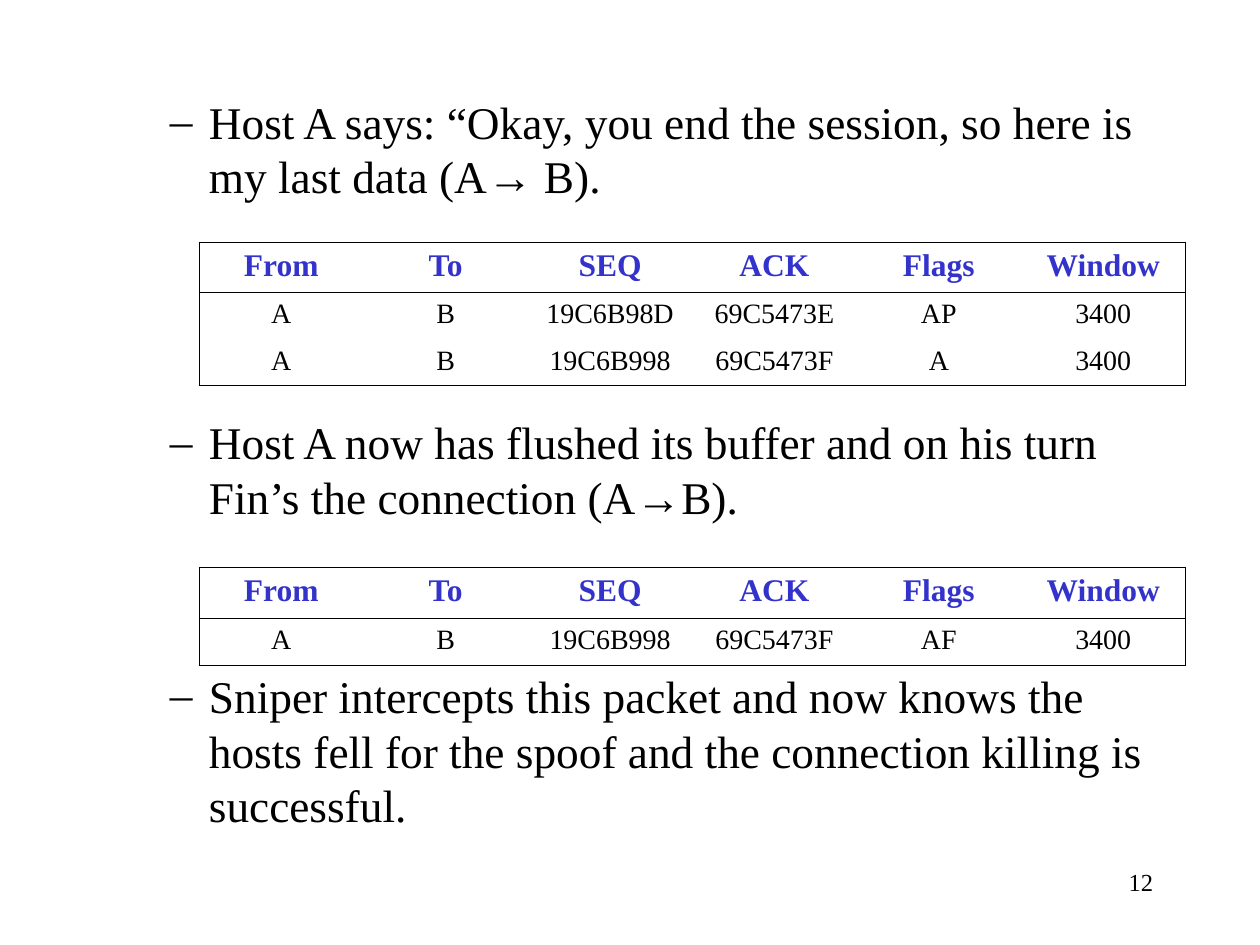
"""Build the slide on the closing packets between host A and host B."""

from dataclasses import dataclass
from typing import Any

from lxml.etree import SubElement
from pptx import Presentation
from pptx.dml.color import RGBColor
from pptx.enum.text import PP_ALIGN
from pptx.oxml.ns import qn
from pptx.util import Inches, Pt


@dataclass(frozen=True)
class Theme:
    serif: str = "Times New Roman"
    sans: str = "Arial"
    ink: str = "000000"
    heading: str = "3333CC"
    body_size: float = 25.9
    line_pitch: float = 31
    heading_size: float = 18
    cell_size: float = 16
    number_size: float = 14
    rule: float = 0.45


@dataclass(frozen=True)
class Statement:
    wording: tuple[str, ...]
    gap_before: float


@dataclass(frozen=True)
class PacketTable:
    top: float
    header_height: float
    packets: tuple[tuple[str, ...], ...]


THEME = Theme()
ARROW = "→"
HEADINGS = ("From", "To", "SEQ", "ACK", "Flags", "Window")
TABLE_LEFT, TABLE_WIDTH, PACKET_HEIGHT = 1.58, 7.83, 0.37

STATEMENTS = (
    Statement(("Host A says: “Okay, you end the session, so here is my last data (A", ARROW, " B)."), 0),
    Statement(("Host A now has flushed its buffer and on his turn Fin’s the connection (A", ARROW, "B)."), 121),
    Statement(("Sniper intercepts this packet and now knows the hosts fell for the spoof "
               "and the connection killing is successful.",), 83),
)

TABLES = (
    PacketTable(1.92, 0.4, (
        ("A", "B", "19C6B98D", "69C5473E", "AP", "3400"),
        ("A", "B", "19C6B998", "69C5473F", "A", "3400"),
    )),
    PacketTable(4.5, 0.41, (
        ("A", "B", "19C6B998", "69C5473F", "AF", "3400"),
    )),
)


def apply(target: Any, values: dict[str, Any]) -> None:
    for name, value in values.items():
        setattr(target, name, value)


def add_span(para: Any, text: str, size: float, color: str = THEME.ink,
             font: str = THEME.serif, bold: bool = False) -> None:
    span = para.add_run()
    span.text = text
    apply(span.font, {"name": font, "size": Pt(size), "bold": bold})
    span.font.color.rgb = RGBColor.from_string(color)


def add_box(page: Any, left: float, top: float, width: float, height: float,
            inset_top: float = 0.05) -> Any:
    box = page.shapes.add_textbox(Inches(left), Inches(top), Inches(width), Inches(height))
    apply(box.text_frame, {"word_wrap": True, "margin_top": Inches(inset_top)})
    return box.text_frame


def add_dash(para: Any) -> None:
    properties = para._p.get_or_add_pPr()
    properties.set("marL", str(Inches(0.81)))
    properties.set("indent", str(Inches(-0.31)))
    color = SubElement(properties, qn("a:buClr"))
    SubElement(color, qn("a:srgbClr"), val=THEME.ink)
    SubElement(properties, qn("a:buFont"), typeface=THEME.serif)
    SubElement(properties, qn("a:buChar"), char="–")


def add_statements(page: Any, statements: tuple[Statement, ...]) -> None:
    frame = add_box(page, 0.75, 0.67, 8.5, 6, inset_top=0.08)
    for index, statement in enumerate(statements):
        para = frame.add_paragraph() if index else frame.paragraphs[0]
        add_dash(para)
        apply(para, {"level": 1, "line_spacing": Pt(THEME.line_pitch),
                     "space_before": Pt(statement.gap_before)})
        for text in statement.wording:
            add_span(para, text, THEME.body_size, font=THEME.sans if text == ARROW else THEME.serif)


def set_borders(cell: Any, edges: dict[str, bool]) -> None:
    properties = cell._tc.get_or_add_tcPr()
    for edge, ruled in edges.items():
        line = SubElement(properties, qn(f"a:ln{edge}"), w=str(Pt(THEME.rule)))
        if ruled:
            fill = SubElement(line, qn("a:solidFill"))
            SubElement(fill, qn("a:srgbClr"), val=THEME.ink)
        else:
            SubElement(line, qn("a:noFill"))


def add_packet_table(page: Any, item: PacketTable) -> None:
    rows = (HEADINGS, *item.packets)
    heights = (item.header_height, *(PACKET_HEIGHT for _ in item.packets))
    table = page.shapes.add_table(
        len(rows), len(HEADINGS), Inches(TABLE_LEFT), Inches(item.top),
        Inches(TABLE_WIDTH), Inches(sum(heights))).table
    apply(table, {"first_row": False, "horz_banding": False})
    last_row, last_column = len(rows) - 1, len(HEADINGS) - 1
    for row, (texts, height) in enumerate(zip(rows, heights)):
        table.rows[row].height = Inches(height)
        for column, text in enumerate(texts):
            cell = table.cell(row, column)
            set_borders(cell, {"L": column == 0, "R": column == last_column,
                               "T": row <= 1, "B": row in (0, last_row)})
            cell.fill.background()
            para = cell.text_frame.paragraphs[0]
            para.alignment = PP_ALIGN.CENTER
            if row == 0:
                add_span(para, text, THEME.heading_size, THEME.heading, bold=True)
            else:
                add_span(para, text, THEME.cell_size)


def add_page_number(page: Any, number: str) -> None:
    para = add_box(page, 7.17, 6.83, 2.08, 0.5).paragraphs[0]
    para.alignment = PP_ALIGN.RIGHT
    add_span(para, number, THEME.number_size)


def main() -> None:
    deck = Presentation()
    apply(deck, {"slide_width": Inches(10), "slide_height": Inches(7.5)})
    page = deck.slides.add_slide(deck.slide_layouts[6])
    add_statements(page, STATEMENTS)
    for item in TABLES:
        add_packet_table(page, item)
    add_page_number(page, "12")
    deck.save("out.pptx")


if __name__ == "__main__":
    main()
